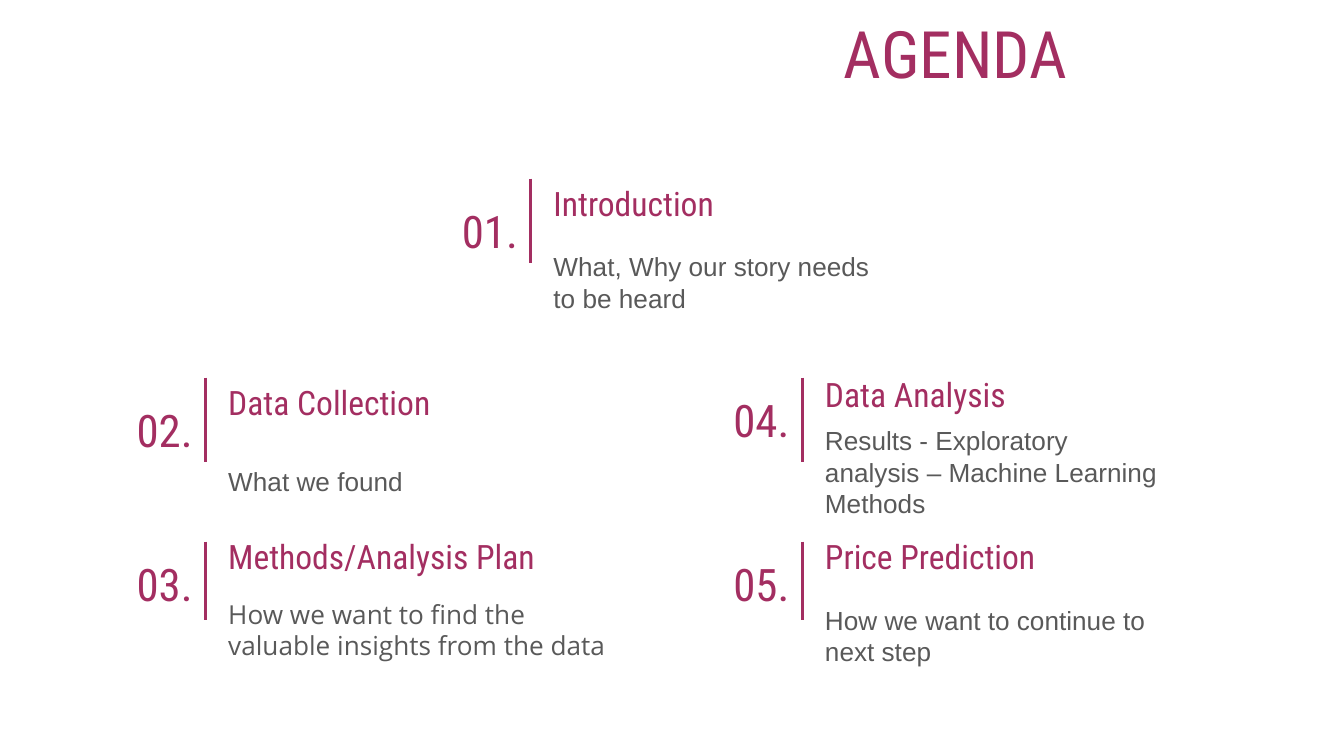
"""Build an agenda slide with five numbered sections."""
import pptx
import pptx.dml.color
import pptx.enum.shapes
import pptx.enum.text
import pptx.oxml
import pptx.util
from dataclasses import dataclass
from pptx.util import Inches

COLORS = {"accent": "A32E61", "body": "595959", "background": "FFFFFF"}
HEADING_FONT = "Roboto Condensed"
ALIGN = pptx.enum.text.PP_ALIGN
ANCHOR = pptx.enum.text.MSO_ANCHOR


@dataclass
class Section:
    """Content and position of one agenda entry."""
    number: str
    heading: str
    detail: str
    rule_x: float
    rule_top: float
    number_top: float
    heading_top: float
    detail_top: float
    rule_length: float = 0.63
    detail_size: tuple = (2.7, 0.58)
    detail_font: str = "Arial"


SECTIONS = [
    Section("01.", "Introduction", "What, Why our story needs to be heard",
            3.95, 1.33, 1.4, 1.26, 1.81),
    Section("02.", "Data Collection", "What we found",
            1.53, 2.81, 2.88, 2.74, 3.29),
    Section("03.", "Methods/Analysis Plan",
            "How we want to find the valuable insights from the data",
            1.53, 4.03, 4.03, 3.89, 4.36, rule_length=0.58,
            detail_size=(3.1, 0.65), detail_font="Open Sans"),
    Section("04.", "Data Analysis",
            "Results - Exploratory analysis – Machine Learning Methods",
            5.97, 2.81, 2.81, 2.68, 3.22),
    Section("05.", "Price Prediction", "How we want to continue to next step",
            5.97, 4.03, 4.03, 3.89, 4.44, rule_length=0.58),
]


def rgb(name):
    """Return a palette colour."""
    return pptx.dml.color.RGBColor.from_string(COLORS[name])


def write_text(holder, text, *, size, font=HEADING_FONT, color="accent",
               align=ALIGN.LEFT, anchor=ANCHOR.TOP):
    """Write one formatted paragraph into a shape."""
    frame = holder.text_frame
    frame.word_wrap = True
    frame.auto_size = pptx.enum.text.MSO_AUTO_SIZE.NONE
    frame.vertical_anchor = anchor
    frame.margin_left = frame.margin_right = Inches(0.1)
    frame.margin_top = frame.margin_bottom = Inches(0.1)
    paragraph = frame.paragraphs[0]
    paragraph.alignment = align
    run = paragraph.add_run()
    run.text = text
    run.font.size = pptx.util.Pt(size)
    run.font.name = font
    run.font.color.rgb = rgb(color)


def add_text(slide, text, left, top, width, height, **text_format):
    """Add a text box with formatted text."""
    box = slide.shapes.add_textbox(
        Inches(left), Inches(top), Inches(width), Inches(height))
    write_text(box, text, **text_format)


def add_rule(slide, x, top, length):
    """Add a vertical accent rule."""
    rule = slide.shapes.add_connector(
        pptx.enum.shapes.MSO_CONNECTOR.STRAIGHT,
        Inches(x), Inches(top), Inches(x), Inches(top + length))
    rule.line.color.rgb = rgb("accent")
    rule.line.width = pptx.util.Pt(1.5)
    properties = rule._element.spPr
    properties.append(pptx.oxml.parse_xml(
        '<a:effectLst xmlns:a="http://schemas.openxmlformats.org/drawingml/2006/main"/>'))


def add_title(slide, text):
    """Place the slide title in its placeholder."""
    title = slide.shapes.title
    title.left, title.top = Inches(5), Inches(0)
    title.width, title.height = Inches(4.22), Inches(0.92)
    write_text(title, text, size=35, align=ALIGN.CENTER)


def add_section(slide, section):
    """Add the number, rule, heading and detail of one section."""
    text_left = section.rule_x + 0.07
    add_text(slide, section.number, section.rule_x - 0.67, section.number_top,
             0.73, 0.63, size=24, align=ALIGN.CENTER, anchor=ANCHOR.MIDDLE)
    add_rule(slide, section.rule_x, section.rule_top, section.rule_length)
    add_text(slide, section.heading, text_left, section.heading_top,
             2.77, 0.49, size=18)
    add_text(slide, section.detail, text_left, section.detail_top,
             *section.detail_size, size=14, font=section.detail_font,
             color="body", anchor=ANCHOR.MIDDLE)


def main():
    """Build and save the presentation."""
    presentation = pptx.Presentation()
    presentation.slide_width = Inches(10)
    presentation.slide_height = Inches(10 * 9 / 16)
    slide = presentation.slides.add_slide(presentation.slide_layouts[5])
    slide.background.fill.solid()
    slide.background.fill.fore_color.rgb = rgb("background")
    add_title(slide, "AGENDA")
    for section in SECTIONS:
        add_section(slide, section)
    presentation.save("out.pptx")


if __name__ == "__main__":
    main()
